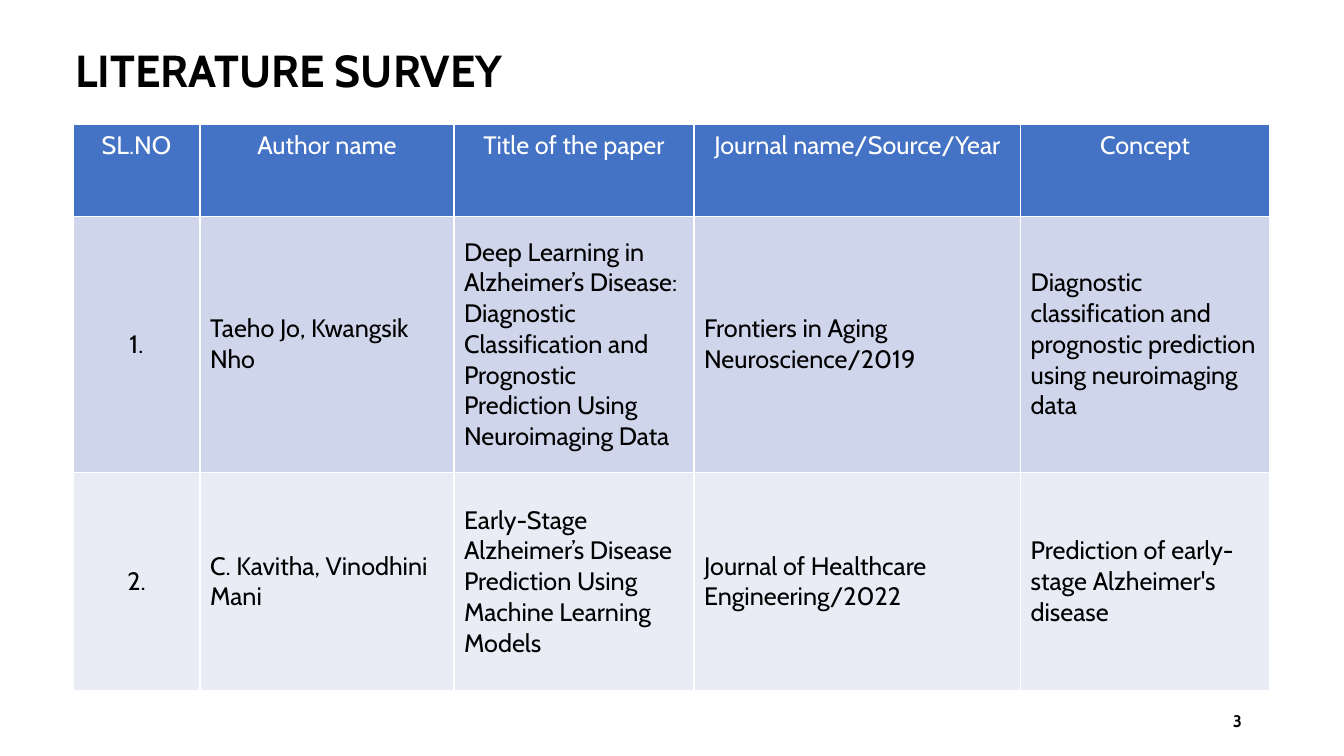
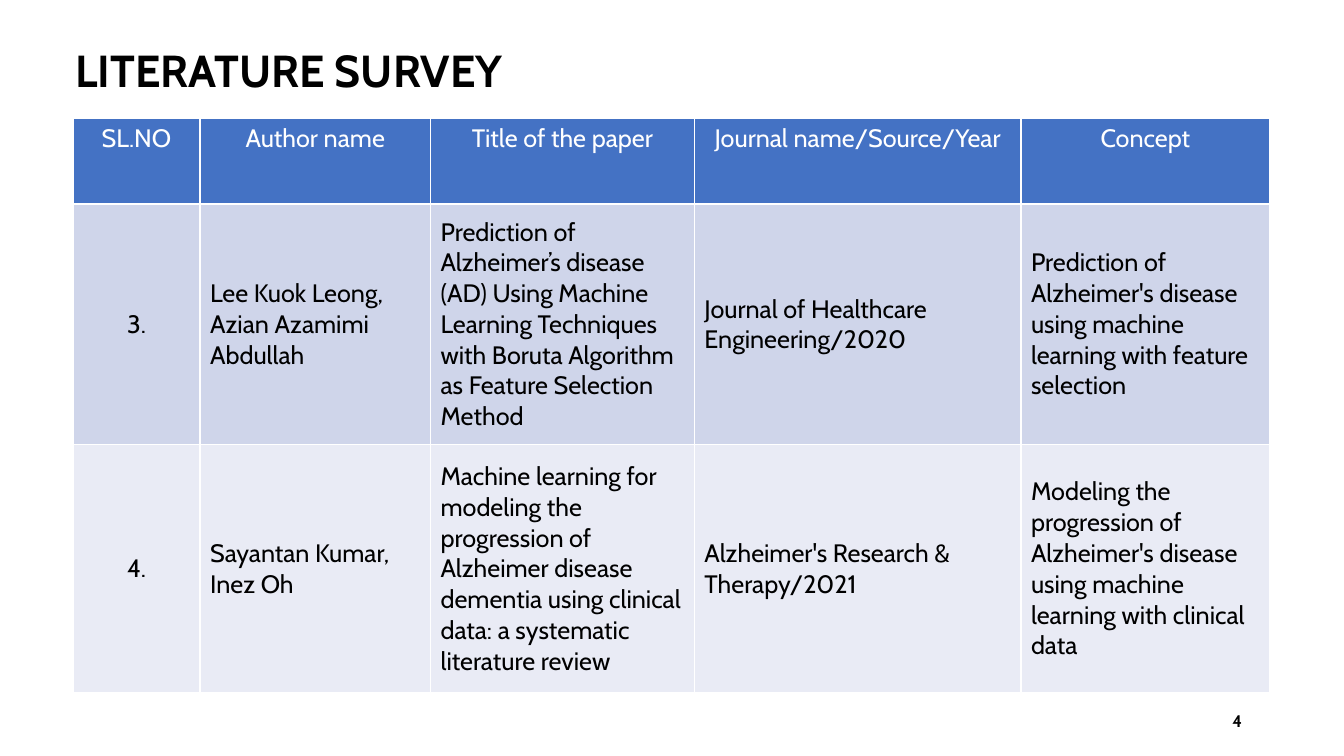
from lxml import etree
from pptx import Presentation
from pptx import util as u
from pptx.dml.color import RGBColor
from pptx.enum import text
from pptx.oxml.ns import qn

FONT = "Cabin"
COLORS = {
    "header": "4472C4",
    "odd_row": "CFD5EA",
    "even_row": "E9EBF5",
    "white": "FFFFFF",
    "black": "000000",
}
HEADINGS = ["SL.NO", "Author name", "Title of the paper",
            "Journal name/Source/Year", "Concept"]
SURVEYS = [
    {
        "page": 3,
        "top": 3.14,
        "cols": [3.2, 6.4, 6.05, 8.23, 6.27],
        "rows": [2.31, 6.45, 5.51],
        "papers": [
            ["1.", "Taeho Jo, Kwangsik Nho",
             "Deep Learning in Alzheimer’s Disease: Diagnostic Classification "
             "and Prognostic Prediction Using Neuroimaging Data",
             "Frontiers in Aging Neuroscience/2019",
             "Diagnostic classification and prognostic prediction using "
             "neuroimaging data"],
            ["2.", "C. Kavitha, Vinodhini Mani",
             "Early-Stage Alzheimer’s Disease Prediction Using Machine "
             "Learning Models",
             "Journal of Healthcare Engineering/2022",
             "Prediction of early-stage Alzheimer's disease"],
        ],
    },
    {
        "page": 4,
        "top": 2.98,
        "cols": [3.2, 5.81, 6.65, 8.23, 6.27],
        "rows": [2.16, 6.07, 6.25],
        "papers": [
            ["3.", "Lee Kuok Leong, Azian Azamimi Abdullah",
             "Prediction of Alzheimer’s disease (AD) Using Machine Learning "
             "Techniques with Boruta Algorithm as Feature Selection Method",
             "Journal of Healthcare Engineering/2020",
             "Prediction of Alzheimer's disease using machine learning with "
             "feature selection"],
            ["4.", "Sayantan Kumar, Inez Oh",
             "Machine learning for modeling the progression of Alzheimer "
             "disease dementia using clinical data: a systematic literature "
             "review",
             "Alzheimer's Research & Therapy/2021",
             "Modeling the progression of Alzheimer's disease using machine "
             "learning with clinical data"],
        ],
    },
]


def rgb(name):
    return RGBColor.from_string(COLORS[name])


def write(tf, content, size, color="black", bold=False,
          align=text.PP_ALIGN.LEFT):
    tf.text = content
    tf.word_wrap = True
    p = tf.paragraphs[0]
    p.alignment = align
    for r in p.runs:
        r.font.name = FONT
        r.font.size = u.Pt(size)
        r.font.bold = bold
        r.font.color.rgb = rgb(color)
    return p


def add_text(s, box, content, size, **style):
    sp = s.shapes.add_textbox(*(u.Cm(v) for v in box))
    sp.text_frame.vertical_anchor = text.MSO_ANCHOR.MIDDLE
    return write(sp.text_frame, content, size, bold=True, **style)


def set_borders(cell):
    tc_pr = cell._tc.get_or_add_tcPr()
    for side in "LRTB":
        ln = etree.SubElement(tc_pr, qn(f"a:ln{side}"), w=str(u.Pt(1)))
        fill = etree.SubElement(ln, qn("a:solidFill"))
        etree.SubElement(fill, qn("a:srgbClr"), val=COLORS["white"])


def fill_cell(cell, content, row, col):
    header = row == 0
    set_borders(cell)
    cell.fill.solid()
    cell.fill.fore_color.rgb = rgb(
        "header" if header else "odd_row" if row % 2 else "even_row")
    cell.vertical_anchor = (
        text.MSO_ANCHOR.TOP if header else text.MSO_ANCHOR.MIDDLE)
    centred = header or col == 0
    write(cell.text_frame, content, 18, "white" if header else "black",
          align=text.PP_ALIGN.CENTER if centred else text.PP_ALIGN.LEFT)


def add_survey_table(s, top, cols, rows, papers):
    table = s.shapes.add_table(
        len(rows), len(cols), u.Cm(1.84), u.Cm(top),
        u.Cm(sum(cols)), u.Cm(sum(rows))).table
    for column, width in zip(table.columns, cols):
        column.width = u.Cm(width)
    for table_row, height in zip(table.rows, rows):
        table_row.height = u.Cm(height)
    for i, values in enumerate([HEADINGS] + papers):
        for j, value in enumerate(values):
            fill_cell(table.cell(i, j), value, i, j)


def add_survey_slide(prs, page, **survey):
    s = prs.slides.add_slide(prs.slide_layouts[6])
    title = add_text(s, (1.65, 0, 29.21, 3.68), "LITERATURE SURVEY", 32)
    title.line_spacing = 0.9
    add_survey_table(s, **survey)
    add_text(s, (23.93, 17.65, 7.62, 1.02), str(page), 12,
             align=text.PP_ALIGN.RIGHT)


def main():
    prs = Presentation()
    prs.slide_width = u.Cm(33.87)
    prs.slide_height = u.Cm(19.05)
    for survey in SURVEYS:
        add_survey_slide(prs, **survey)
    prs.save("out.pptx")


if __name__ == "__main__":
    main()
